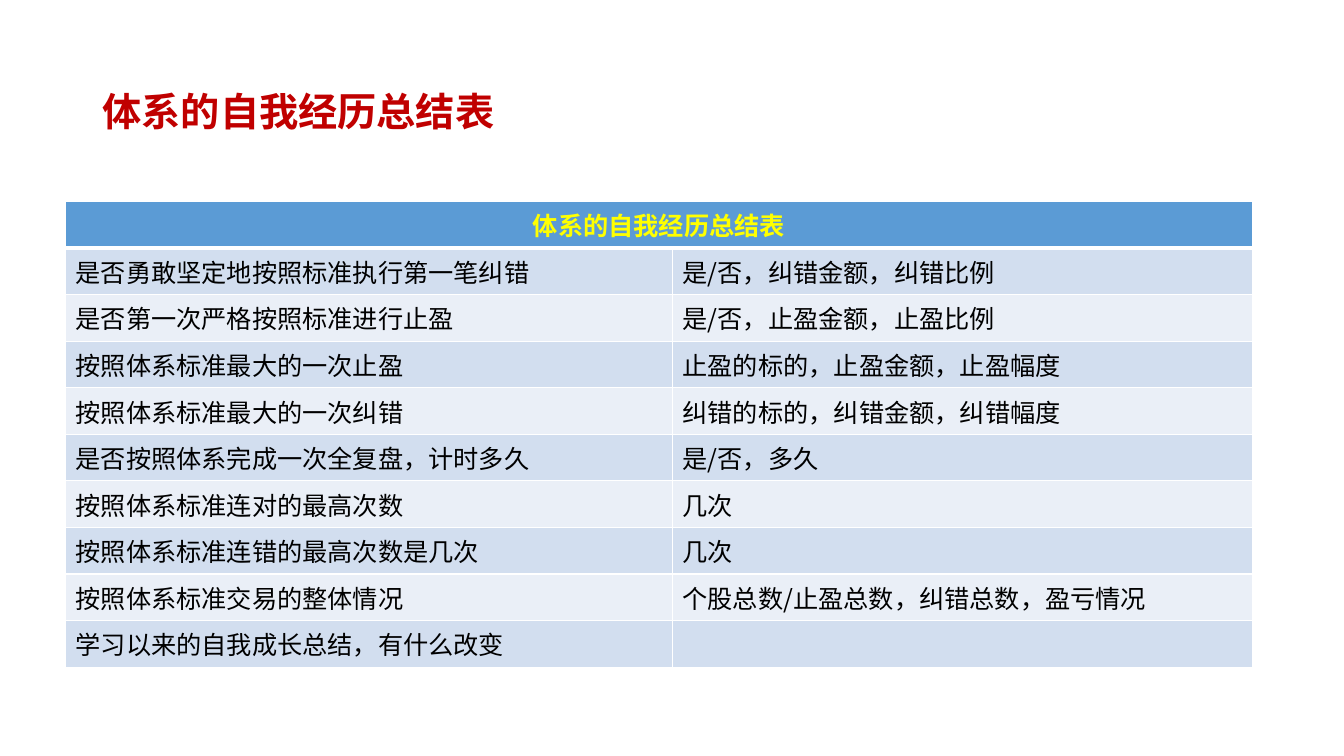
from dataclasses import dataclass

from lxml.etree import SubElement
from pptx import Presentation
from pptx.dml.color import RGBColor as RGB
from pptx.enum.text import MSO_ANCHOR as Anchor, PP_ALIGN as Align
from pptx.oxml.ns import qn
from pptx.util import Inches, Pt


@dataclass(frozen=True)
class Theme:
    latin: str = "Calibri"
    asian: str = "Noto Sans CJK SC"
    title: str = "C00000"
    head: str = "FFFF00"
    body: str = "000000"
    bar: str = "5B9BD5"
    bands: tuple = ("D2DEEF", "EAEFF7")
    rule: str = "FFFFFF"
    title_size: int = 28
    cell_size: int = 18
    thin: int = 1
    thick: int = 3


THEME = Theme()
TITLE = "体系的自我经历总结表"
ROWS = [
    ("是否勇敢坚定地按照标准执行第一笔纠错", "是/否，纠错金额，纠错比例"),
    ("是否第一次严格按照标准进行止盈", "是/否，止盈金额，止盈比例"),
    ("按照体系标准最大的一次止盈", "止盈的标的，止盈金额，止盈幅度"),
    ("按照体系标准最大的一次纠错", "纠错的标的，纠错金额，纠错幅度"),
    ("是否按照体系完成一次全复盘，计时多久", "是/否，多久"),
    ("按照体系标准连对的最高次数", "几次"),
    ("按照体系标准连错的最高次数是几次", "几次"),
    ("按照体系标准交易的整体情况", "个股总数/止盈总数，纠错总数，盈亏情况"),
    ("学习以来的自我成长总结，有什么改变", ""),
]


def add_run(para, text, font, size, color, bold=False):
    run = para.add_run()
    run.text = text
    run.font.name = font
    run.font.size = Pt(size)
    run.font.bold = bold
    run.font.color.rgb = RGB.from_string(color)
    SubElement(run.font._element, qn("a:ea"), typeface=THEME.asian)


def set_edges(cell, top, bottom):
    """Draw the cell's four borders, with the given top and bottom widths."""
    props = cell._tc.get_or_add_tcPr()
    widths = {"L": THEME.thin, "R": THEME.thin, "T": top, "B": bottom}
    for side, width in widths.items():
        line = SubElement(props, qn(f"a:ln{side}"), w=str(Pt(width)))
        fill = SubElement(line, qn("a:solidFill"))
        SubElement(fill, qn("a:srgbClr"), val=THEME.rule)


def add_title(slide, left, top, width, height):
    box = slide.shapes.add_textbox(left, top, width, height)
    frame = box.text_frame
    frame.word_wrap = True
    frame.vertical_anchor = Anchor.MIDDLE
    para = frame.paragraphs[0]
    para.line_spacing = 0.9
    add_run(para, TITLE, THEME.latin, THEME.title_size, THEME.title, True)


def add_summary(slide, left, top, width, height):
    """Place the two-column table under its merged heading row."""
    rows = [(TITLE, ""), *ROWS]
    table = slide.shapes.add_table(len(rows), 2, left, top, width, height).table
    first = Inches(6.02)
    table.columns[0].width = first
    table.columns[1].width = width - first
    for r, texts in enumerate(rows):
        is_head = r == 0
        shade = THEME.bar if is_head else THEME.bands[(r - 1) % 2]
        color = THEME.head if is_head else THEME.body
        over = THEME.thick if r == 1 else THEME.thin
        under = THEME.thick if is_head else THEME.thin
        for c, text in enumerate(texts):
            cell = table.cell(r, c)
            set_edges(cell, over, under)
            cell.fill.solid()
            cell.fill.fore_color.rgb = RGB.from_string(shade)
            para = cell.text_frame.paragraphs[0]
            if is_head:
                para.alignment = Align.CENTER
            if text:
                add_run(para, text, THEME.asian, THEME.cell_size, color, is_head)
    table.cell(0, 0).merge(table.cell(0, 1))


def main():
    deck = Presentation()
    deck.slide_width = Inches(13.33)
    deck.slide_height = Inches(7.5)
    slide = deck.slides.add_slide(deck.slide_layouts[6])
    add_title(slide, Inches(0.92), Inches(0.4), Inches(11.5), Inches(1.45))
    add_summary(slide, Inches(0.65), Inches(2), Inches(11.77), Inches(4.62))
    deck.save("out.pptx")


if __name__ == "__main__":
    main()
